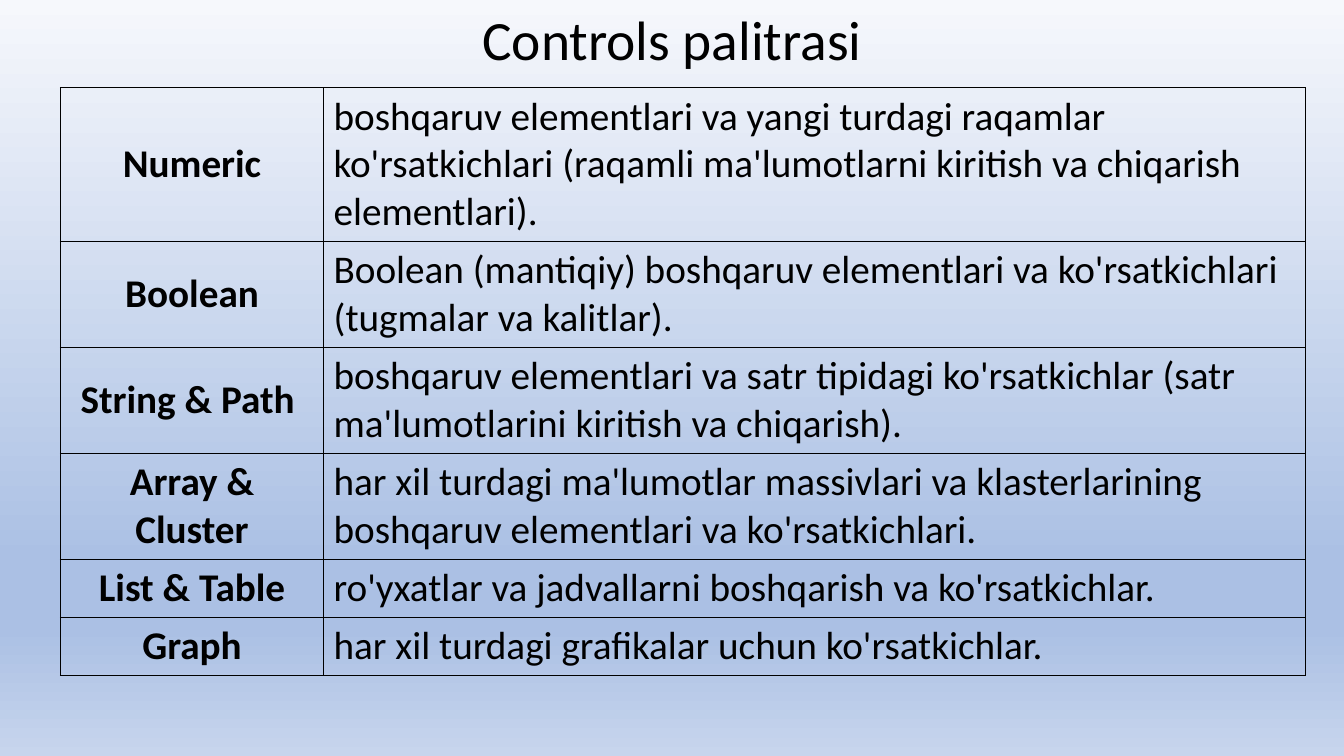
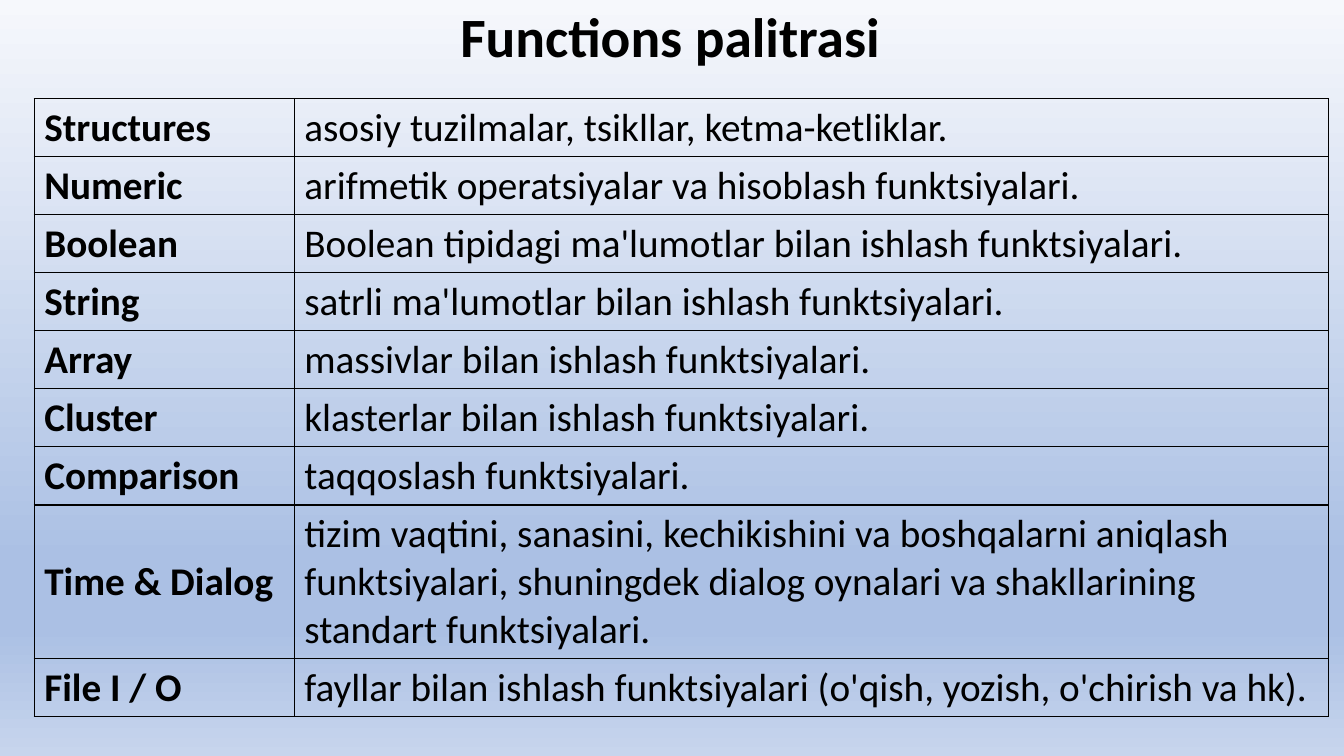
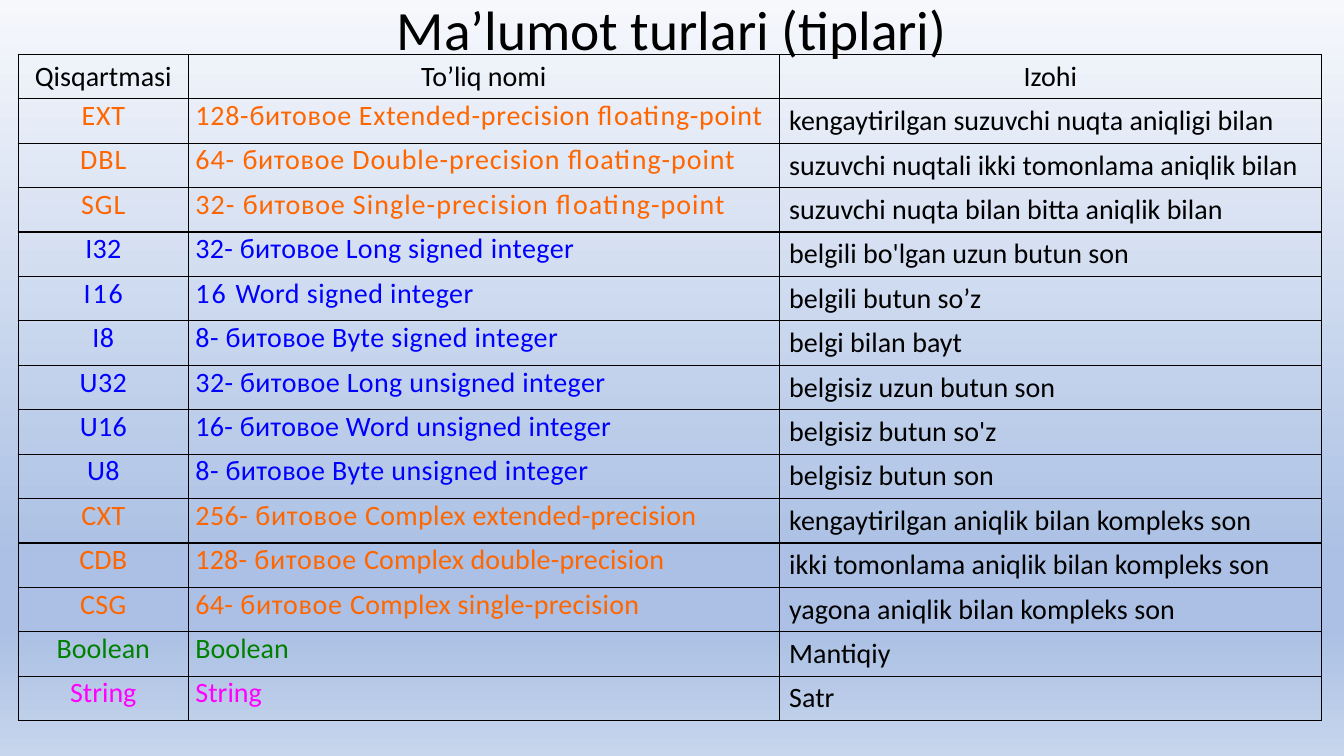
from dataclasses import dataclass

from lxml import etree
from pptx import Presentation
from pptx.dml.color import RGBColor
from pptx.enum.text import MSO_ANCHOR, MSO_AUTO_SIZE, PP_ALIGN
from pptx.oxml.ns import qn
from pptx.util import Emu, Pt

LEFT, CENTER = PP_ALIGN.LEFT, PP_ALIGN.CENTER
TOP, MIDDLE = MSO_ANCHOR.TOP, MSO_ANCHOR.MIDDLE
NO_AUTOFIT = MSO_AUTO_SIZE.NONE

SLIDE_WIDTH, SLIDE_HEIGHT = 4000, 2250
EMU_PER_PX = 3048
TITLE_ONLY = 5


@dataclass(frozen=True)
class Theme:
    font: str = "Calibri"
    title_size: float = 39.6
    term_size: float = 28
    type_size: float = 20
    ink: str = "000000"
    floating: str = "FF6600"
    integer: str = "0000FF"
    boolean: str = "008000"
    string: str = "FF00FF"
    border_width: float = 1
    background: tuple = ((0, "F6F8FC"), (74, "ABC0E4"), (83, "ABC0E4"), (100, "C7D5ED"))


THEME = Theme()

CONTROLS = [
    ("Numeric", "boshqaruv elementlari va yangi turdagi raqamlar ko'rsatkichlari "
                "(raqamli ma'lumotlarni kiritish va chiqarish elementlari).", 3),
    ("Boolean", "Boolean (mantiqiy) boshqaruv elementlari va ko'rsatkichlari "
                "(tugmalar va kalitlar).", 2),
    ("String & Path ", "boshqaruv elementlari va satr tipidagi ko'rsatkichlar "
                       "(satr ma'lumotlarini kiritish va chiqarish).", 2),
    ("Array & Cluster", "har xil turdagi ma'lumotlar massivlari va klasterlarining "
                        "boshqaruv elementlari va ko'rsatkichlari.", 2),
    ("List & Table", "ro'yxatlar va jadvallarni boshqarish va ko'rsatkichlar.", 1),
    ("Graph", "har xil turdagi grafikalar uchun ko'rsatkichlar.", 1),
]

FUNCTIONS = [
    ("Structures", "asosiy tuzilmalar, tsikllar, ketma-ketliklar.", 1),
    ("Numeric", "arifmetik operatsiyalar va hisoblash funktsiyalari.", 1),
    ("Boolean", "Boolean tipidagi ma'lumotlar bilan ishlash funktsiyalari.", 1),
    ("String", "satrli ma'lumotlar bilan ishlash funktsiyalari.", 1),
    ("Array", "massivlar bilan ishlash funktsiyalari.", 1),
    ("Cluster", "klasterlar bilan ishlash funktsiyalari.", 1),
    ("Comparison", "taqqoslash funktsiyalari.", 1),
    ("Time & Dialog", "tizim vaqtini, sanasini, kechikishini va boshqalarni aniqlash "
                      "funktsiyalari, shuningdek dialog oynalari va shakllarining "
                      "standart funktsiyalari.", 3),
    ("File I / O", "fayllar bilan ishlash funktsiyalari "
                   "(o'qish, yozish, o'chirish va hk).", 1),
]

TYPE_HEADINGS = ("Qisqartmasi", "To’liq nomi", "Izohi")
DATA_TYPES = [
    (THEME.floating, [("ЕХТ", 0.5)],
     [("128-битовое Extended-precision floating-point", 0.5)],
     "kengaytirilgan suzuvchi nuqta aniqligi bilan"),
    (THEME.floating, [("DBL", 0.65)],
     [("64- ", 0.65), ("битовое", 0.5), (" Double-precision floating-point", 0.65)],
     "suzuvchi nuqtali ikki tomonlama aniqlik bilan"),
    (THEME.floating, [("SGL", 0.75)],
     [("32- ", 0.75), ("битовое", 0.5), (" Single-precision floating-point", 0.75)],
     "suzuvchi nuqta bilan bitta aniqlik bilan"),
    (THEME.integer, [("I32", 0.2)],
     [("32- битовое Long signed ", 0.2), ("integer", 0.3)],
     "belgili bo'lgan uzun butun son"),
    (THEME.integer, [("I16", 1.3)],
     [("16 ", 1.3), ("Word signed integer", 0.3)],
     "belgili butun so’z"),
    (THEME.integer, [("I8", 0.3)],
     [("8-", 0.3), (" битовое", 0.2), (" Byte signed integer", 0.3)],
     "belgi bilan bayt"),
    (THEME.integer, [("U32", 0.25)],
     [("32- битовое Long unsigned integer", 0.25)],
     "belgisiz uzun butun son"),
    (THEME.integer, [("U16", 0.2)],
     [("16- битовое Word unsigned integer", 0.2)],
     "belgisiz butun so'z"),
    (THEME.integer, [("U8", 0.2)],
     [("8-", 0.3), (" битовое", 0.2), (" Byte unsigned integer", 0.3)],
     "belgisiz butun son"),
    (THEME.floating, [("СХТ", 0.3)],
     [("256-", 0.3), (" битовое ", 0.5), ("Complex extended-precision", 0.2)],
     "kengaytirilgan aniqlik bilan kompleks son"),
    (THEME.floating, [("CDB", 0.1)],
     [("128-", 0.1), (" битовое ", 0.5), ("Complex double-precision", 0.1)],
     "ikki tomonlama aniqlik bilan kompleks son"),
    (THEME.floating, [("CSG", 0.2)],
     [("64-", 0.2), (" битовое ", 0.5), ("Complex single-precision", 0.2)],
     "yagona aniqlik bilan kompleks son"),
    (THEME.boolean, "Boolean", "Boolean", "Mantiqiy"),
    (THEME.string, "String", "String", "Satr"),
]


def px(length):
    return Emu(length * EMU_PER_PX)


def write_text(frame, text, *, size, color=THEME.ink, bold=False, align=LEFT, line_spacing=None):
    paragraph = frame.paragraphs[0]
    paragraph.alignment = align
    if line_spacing:
        paragraph.line_spacing = line_spacing
    for words, spacing in [(text, 0)] if isinstance(text, str) else text:
        run = paragraph.add_run()
        run.text = words
        run.font.name = THEME.font
        run.font.size = Pt(size)
        run.font.bold = bold
        run.font.color.rgb = RGBColor.from_string(color)
        if spacing:
            run._r.get_or_add_rPr().set("spc", str(round(spacing * 100)))


def paint_background(master):
    fill = master.background.fill
    fill.gradient()
    fill.gradient_angle = 270
    stops = master.element.find(".//" + qn("p:bgPr")).find(".//" + qn("a:gsLst"))
    for stop in list(stops):
        stops.remove(stop)
    for percent, color in THEME.background:
        stop = etree.SubElement(stops, qn("a:gs"), pos=str(percent * 1000))
        etree.SubElement(stop, qn("a:srgbClr"), val=color)


def add_titled_slide(presentation, text, box, *, bold=False):
    slide = presentation.slides.add_slide(presentation.slide_layouts[TITLE_ONLY])
    title = slide.shapes.title
    title.left, title.top, title.width, title.height = map(px, box)
    frame = title.text_frame
    frame.auto_size = NO_AUTOFIT
    frame.word_wrap = True
    frame.vertical_anchor = MIDDLE
    write_text(frame, text, size=THEME.title_size, bold=bold, align=CENTER, line_spacing=0.9)
    return slide


def outline_cell(cell):
    properties = cell._tc.get_or_add_tcPr()
    for side in ("lnL", "lnR", "lnT", "lnB"):
        line = etree.SubElement(properties, qn("a:" + side), w=str(Pt(THEME.border_width)))
        fill = etree.SubElement(line, qn("a:solidFill"))
        etree.SubElement(fill, qn("a:srgbClr"), val=THEME.ink)
    cell.fill.background()


def add_grid(slide, origin, widths, heights):
    left, top = origin
    table = slide.shapes.add_table(
        len(heights), len(widths), px(left), px(top), px(sum(widths)), px(sum(heights))).table
    table.first_row = False
    table.horz_banding = False
    for column, width in zip(table.columns, widths):
        column.width = px(width)
    for row, height in zip(table.rows, heights):
        row.height = px(height)
    for cell in table.iter_cells():
        outline_cell(cell)
    return table


def add_palette_table(slide, origin, widths, entries, *, term_align):
    line_height, padding = 142, 30
    heights = [lines * line_height + padding for _, _, lines in entries]
    table = add_grid(slide, origin, widths, heights)
    for row, (term, meaning, _) in zip(table.rows, entries):
        term_cell, meaning_cell = row.cells
        term_cell.vertical_anchor = MIDDLE
        write_text(term_cell.text_frame, term, size=THEME.term_size, bold=True, align=term_align)
        write_text(meaning_cell.text_frame, meaning, size=THEME.term_size)


def add_type_table(slide, origin, widths):
    row_height, side_margin = 131, 21
    table = add_grid(slide, origin, widths, [row_height] * (len(DATA_TYPES) + 1))
    for column, heading in enumerate(TYPE_HEADINGS):
        write_text(table.cell(0, column).text_frame, heading, size=THEME.type_size, align=CENTER)
    for index, (color, code, name, note) in enumerate(DATA_TYPES, start=1):
        for column, (text, align) in enumerate(((code, CENTER), (name, LEFT))):
            cell = table.cell(index, column)
            cell.vertical_anchor = TOP
            cell.margin_left = cell.margin_right = px(side_margin)
            cell.margin_top = cell.margin_bottom = 0
            write_text(cell.text_frame, text, size=THEME.type_size, color=color, align=align)
        write_text(table.cell(index, 2).text_frame, note, size=THEME.type_size)


def main():
    presentation = Presentation()
    presentation.slide_width, presentation.slide_height = px(SLIDE_WIDTH), px(SLIDE_HEIGHT)
    paint_background(presentation.slide_master)

    controls = add_titled_slide(presentation, "Controls palitrasi", (275, 57, 3450, 141))
    add_palette_table(controls, (180, 261), (783, 2922), CONTROLS, term_align=CENTER)

    functions = add_titled_slide(
        presentation, "Functions palitrasi", (270, 43, 3450, 150), bold=True)
    add_palette_table(functions, (102, 294), (774, 3078), FUNCTIONS, term_align=LEFT)

    types = add_titled_slide(presentation, "Ma’lumot turlari (tiplari)", (275, 0, 3450, 192))
    add_type_table(types, (54, 162), (507, 1758, 1614))

    presentation.save("out.pptx")


if __name__ == "__main__":
    main()
